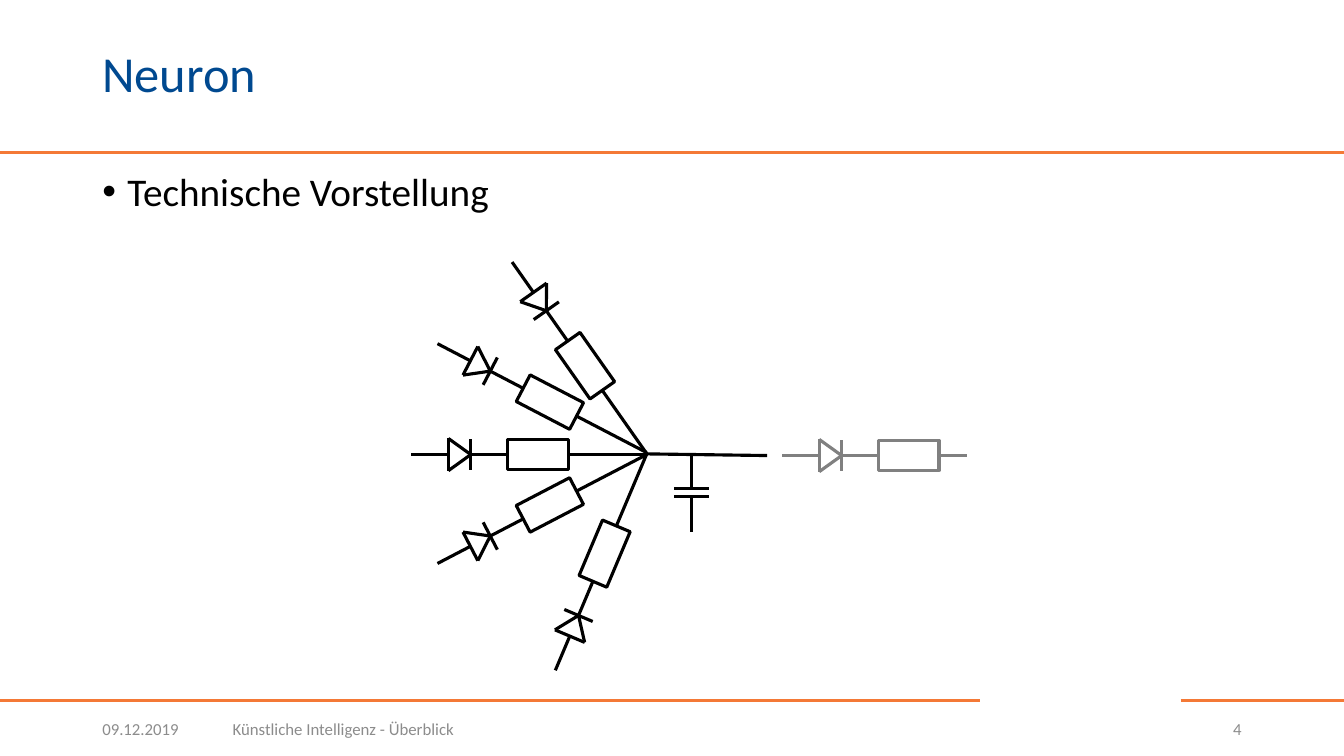
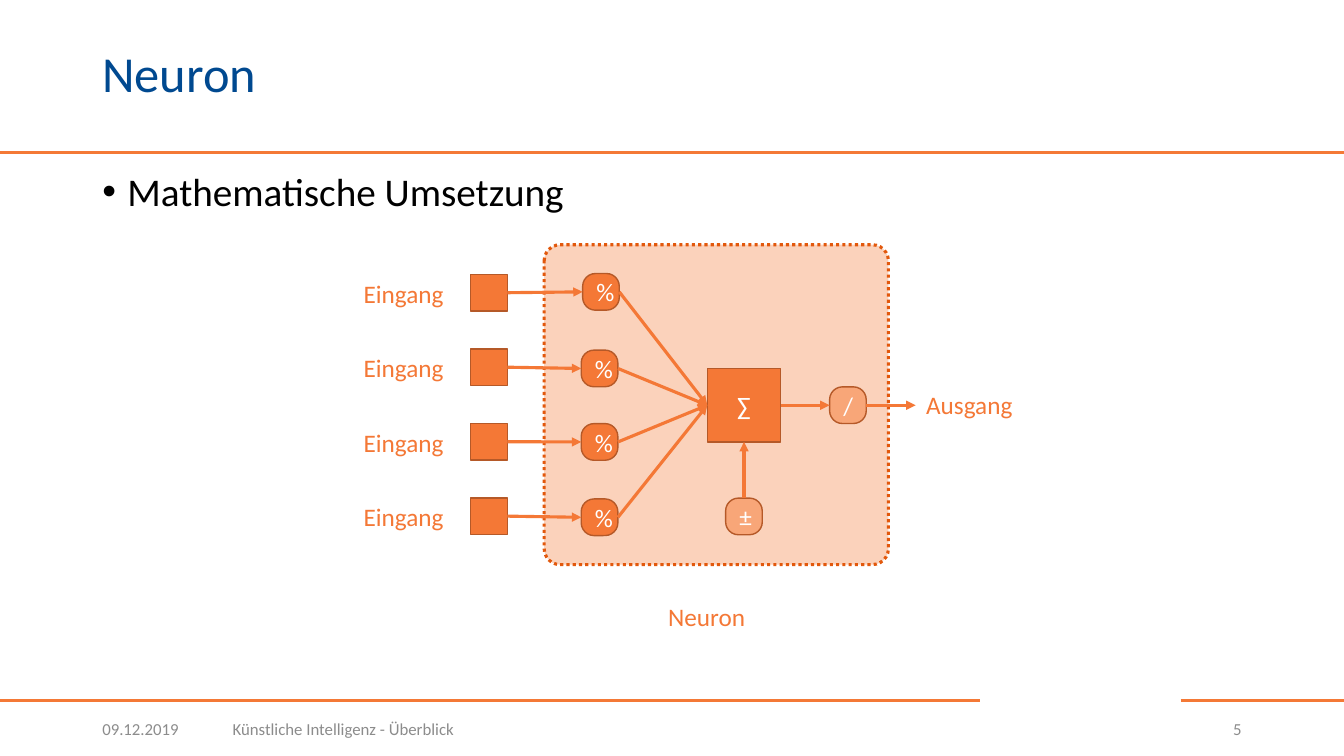
import math

import lxml.etree
import pptx
import pptx.dml.color
import pptx.enum.dml
import pptx.enum.shapes
import pptx.enum.text
import pptx.oxml.ns
import pptx.util

RULE = pptx.dml.color.RGBColor(0xF4, 0x79, 0x36)
TITLE = pptx.dml.color.RGBColor(0x00, 0x49, 0x90)
FOOTER = pptx.dml.color.RGBColor(0x8C, 0x8C, 0x8C)
BLACK = pptx.dml.color.RGBColor(0x00, 0x00, 0x00)
GREY = pptx.dml.color.RGBColor(0x80, 0x80, 0x80)
WHITE = pptx.dml.color.RGBColor(0xFF, 0xFF, 0xFF)
ORANGE = pptx.dml.color.RGBColor(0xF4, 0x78, 0x36)
ORANGE_LIGHT = pptx.dml.color.RGBColor(0xF8, 0xA6, 0x78)
ORANGE_PALE = pptx.dml.color.RGBColor(0xFB, 0xD2, 0xBB)
ORANGE_DARK = pptx.dml.color.RGBColor(0xB5, 0x59, 0x28)
ORANGE_DEEP = pptx.dml.color.RGBColor(0xE2, 0x58, 0x0C)

FONT = "Calibri"
RECTANGLE = pptx.enum.shapes.MSO_SHAPE.RECTANGLE
ROUNDED = pptx.enum.shapes.MSO_SHAPE.ROUNDED_RECTANGLE
LEFT = pptx.enum.text.PP_ALIGN.LEFT
RIGHT = pptx.enum.text.PP_ALIGN.RIGHT
CENTER = pptx.enum.text.PP_ALIGN.CENTER
TOP = pptx.enum.text.MSO_ANCHOR.TOP
MIDDLE = pptx.enum.text.MSO_ANCHOR.MIDDLE


def add_line(page, start, end, color, width=2.25, arrow=False):
    points = [pptx.util.Pt(value) for value in (*start, *end)]
    line = page.shapes.add_connector(pptx.enum.shapes.MSO_CONNECTOR.STRAIGHT, *points)
    line.line.color.rgb = color
    line.line.width = pptx.util.Pt(width)
    properties = line._element.spPr
    if arrow:
        outline = properties.find(pptx.oxml.ns.qn("a:ln"))
        lxml.etree.SubElement(outline, pptx.oxml.ns.qn("a:tailEnd"), type="triangle")
    lxml.etree.SubElement(properties, pptx.oxml.ns.qn("a:effectLst"))


def add_box(page, frame, text="", kind=None, fill=None, line=None, line_width=1, radius=None,
            size=18, color=WHITE, align=CENTER, anchor=MIDDLE, wrap=True):
    place = [pptx.util.Pt(value) for value in frame]
    if kind is None:
        box = page.shapes.add_textbox(*place)
    else:
        box = page.shapes.add_shape(kind, *place)
        box.shadow.inherit = False
        box.line.color.rgb = line
        box.line.width = pptx.util.Pt(line_width)
        if fill is None:
            box.fill.background()
        else:
            box.fill.solid()
            box.fill.fore_color.rgb = fill
        if radius is not None:
            box.adjustments[0] = radius
    if text:
        box.text_frame.word_wrap = wrap
        box.text_frame.vertical_anchor = anchor
        para = box.text_frame.paragraphs[0]
        para.alignment = align
        span = para.add_run()
        span.text = text
        span.font.name = FONT
        span.font.size = pptx.util.Pt(size)
        span.font.color.rgb = color
    return box


deck = pptx.Presentation()
deck.slide_width = pptx.util.Pt(960)
deck.slide_height = pptx.util.Pt(540)

pages = []
for number, topic in ((4, "Technische Vorstellung"), (5, "Mathematische Umsetzung")):
    page = deck.slides.add_slide(deck.slide_layouts[6])
    pages.append(page)
    for left, right, height in ((0, 960, 108.7), (0, 700, 500.4), (843.3, 960, 500.4)):
        add_line(page, (left, height), (right, height), RULE, 2)

    title = add_box(page, (66, 12.2, 828, 85), "Neuron", size=36, color=TITLE, align=LEFT)
    title.text_frame.paragraphs[0].line_spacing = 0.9

    body = add_box(page, (66, 119.5, 828, 55.4), topic, size=28, color=BLACK,
                   align=LEFT, anchor=TOP)
    para = body.text_frame.paragraphs[0]
    para.line_spacing = 0.9
    para.space_before = pptx.util.Pt(10)
    settings = para._p.get_or_add_pPr()
    settings.set("marL", str(pptx.util.Pt(18)))
    settings.set("indent", str(pptx.util.Pt(-18)))
    lxml.etree.SubElement(settings, pptx.oxml.ns.qn("a:buFont"), typeface="Arial")
    lxml.etree.SubElement(settings, pptx.oxml.ns.qn("a:buChar"), char="•")

    for left, width, text, align in (
        (66, 84.2, "09.12.2019", LEFT),
        (159.1, 666.7, "Künstliche Intelligenz - Überblick", LEFT),
        (837.4, 56.6, str(number), RIGHT),
    ):
        add_box(page, (left, 506.2, width, 28.8), text, size=12, color=FOOTER, align=align)

circuit, network = pages

DIODE_BACK, DIODE_TIP = 26.5, 42.5
RESISTOR_START, RESISTOR_END = 69, 112
RESISTOR_HEIGHT = 21.5
branches = (
    (293.8, 324.7, 0, 168.5, BLACK),
    (312.5, 402.5, -27.5, 168.5, BLACK),
    (312.5, 245.5, 27.5, 168.5, BLACK),
    (365.8, 187.2, 54.9, 168.5, BLACK),
    (396.7, 478.8, -67.1, 168.5, BLACK),
    (558.7, 325.4, 0, 131.8, GREY),
)
for left, top, angle, length, color in branches:
    cosine = math.cos(math.radians(angle))
    sine = math.sin(math.radians(angle))
    strokes = (
        (0, 0, DIODE_BACK, 0),
        (DIODE_BACK, -11.5, DIODE_BACK, 11.5),
        (DIODE_BACK, -11.5, DIODE_TIP, 0),
        (DIODE_BACK, 11.5, DIODE_TIP, 0),
        (DIODE_TIP, -11, DIODE_TIP, 11),
        (DIODE_TIP, 0, RESISTOR_START, 0),
        (RESISTOR_END, 0, length, 0),
    )
    for along, across, next_along, next_across in strokes:
        start, end = [
            (left + x * cosine - y * sine, top + x * sine + y * cosine)
            for x, y in ((along, across), (next_along, next_across))
        ]
        add_line(circuit, start, end, color)
    width = RESISTOR_END - RESISTOR_START
    middle = (RESISTOR_START + RESISTOR_END) / 2
    resistor = add_box(
        circuit,
        (left + middle * cosine - width / 2, top + middle * sine - RESISTOR_HEIGHT / 2,
         width, RESISTOR_HEIGHT),
        kind=RECTANGLE, line=color, line_width=2.25,
    )
    resistor.rotation = angle

add_line(circuit, (461.5, 324.2), (547.9, 325.4), BLACK)
for wire_start, wire_end, plate in ((324.2, 349.2, 349.2), (354.6, 380, 354.6)):
    add_line(circuit, (494, wire_start), (494, wire_end), BLACK)
    add_line(circuit, (481.5, plate), (506.5, plate), BLACK)

NODE = 26.2
SUM_LEFT, SUM_TOP, SUM_SIZE = 505.2, 263.2, 52.5
sum_middle = SUM_TOP + SUM_SIZE / 2
sum_center = SUM_LEFT + SUM_SIZE / 2
activation_left = 592.6
bias_top = 355.8

neuron = add_box(network, (388.7, 174.8, 245.9, 228.5), kind=ROUNDED, fill=ORANGE_PALE,
                 line=ORANGE_DEEP, line_width=2.25, radius=0.05)
neuron.line.dash_style = pptx.enum.dml.MSO_LINE.ROUND_DOT

add_box(network, (SUM_LEFT, SUM_TOP, SUM_SIZE, SUM_SIZE), "∑", RECTANGLE, ORANGE, ORANGE_DARK)

weights = ((416.2, 195.4), (415.2, 250.1), (415.2, 302.6), (415.2, 356.4))
for row, (weight_left, weight_top) in enumerate(weights):
    input_top = 196 + 53.2 * row
    weight_middle = weight_top + NODE / 2
    add_box(network, (252.7, input_top - 0.9, 72, 29), "Eingang", color=ORANGE,
            align=LEFT, anchor=TOP, wrap=False)
    add_box(network, (336.2, input_top, NODE, NODE), kind=RECTANGLE, fill=ORANGE,
            line=ORANGE_DARK)
    add_box(network, (weight_left, weight_top, NODE, NODE), "%", ROUNDED, ORANGE,
            ORANGE_DARK, radius=0.35)
    add_line(network, (336.2 + NODE, input_top + NODE / 2), (weight_left, weight_middle),
             ORANGE, arrow=True)
    add_line(network, (weight_left + NODE, weight_middle), (SUM_LEFT, sum_middle),
             ORANGE, arrow=True)

for left, top, sign in (
    (sum_center - NODE / 2, bias_top, "±"),
    (activation_left, sum_middle - NODE / 2, "/"),
):
    add_box(network, (left, top, NODE, NODE), sign, ROUNDED, ORANGE_LIGHT, ORANGE_DARK,
            radius=0.35)

for start, end in (
    ((SUM_LEFT + SUM_SIZE, sum_middle), (activation_left, sum_middle)),
    ((sum_center, bias_top), (sum_center, SUM_TOP + SUM_SIZE)),
    ((activation_left + NODE, sum_middle), (654, sum_middle)),
):
    add_line(network, start, end, ORANGE, arrow=True)

for left, top, width, text in ((470.2, 426.2, 69.8, "Neuron"), (654.5, 274.3, 77, "Ausgang")):
    add_box(network, (left, top, width, 29), text, color=ORANGE, align=LEFT, anchor=TOP,
            wrap=False)

deck.save("out.pptx")
